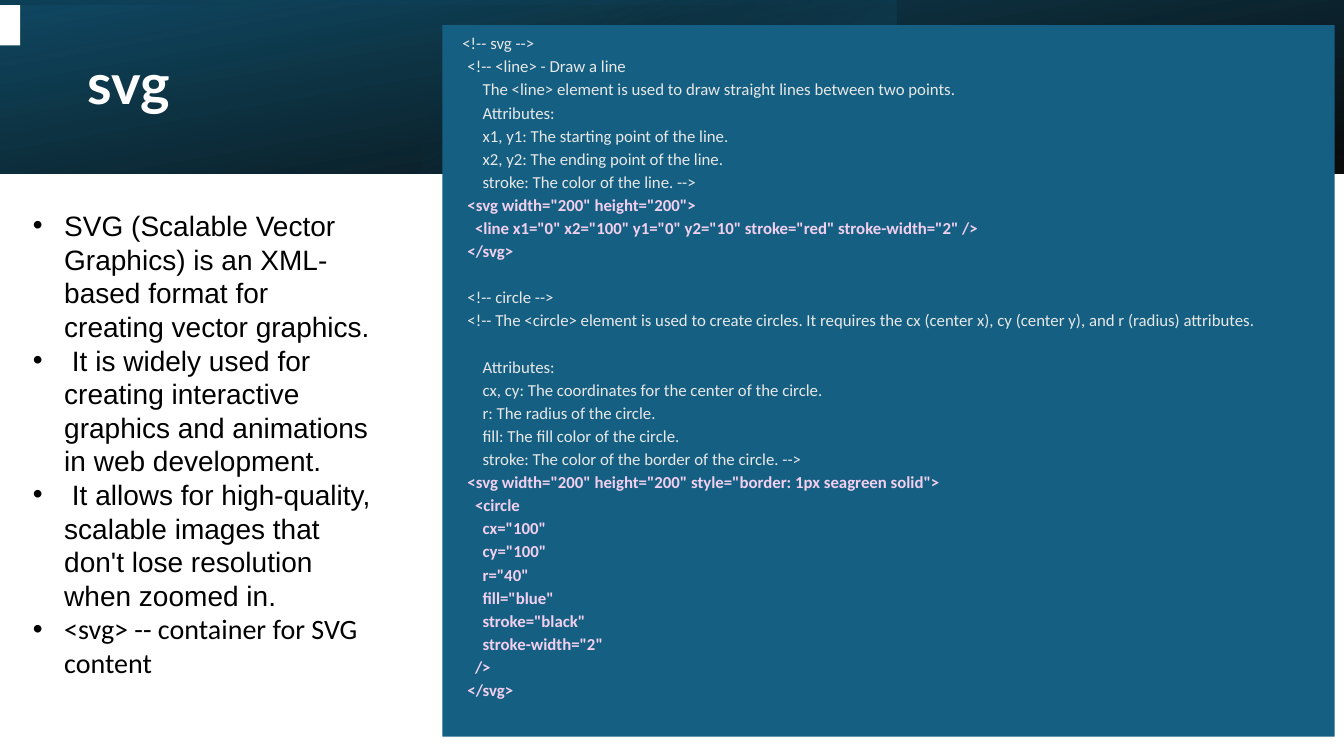
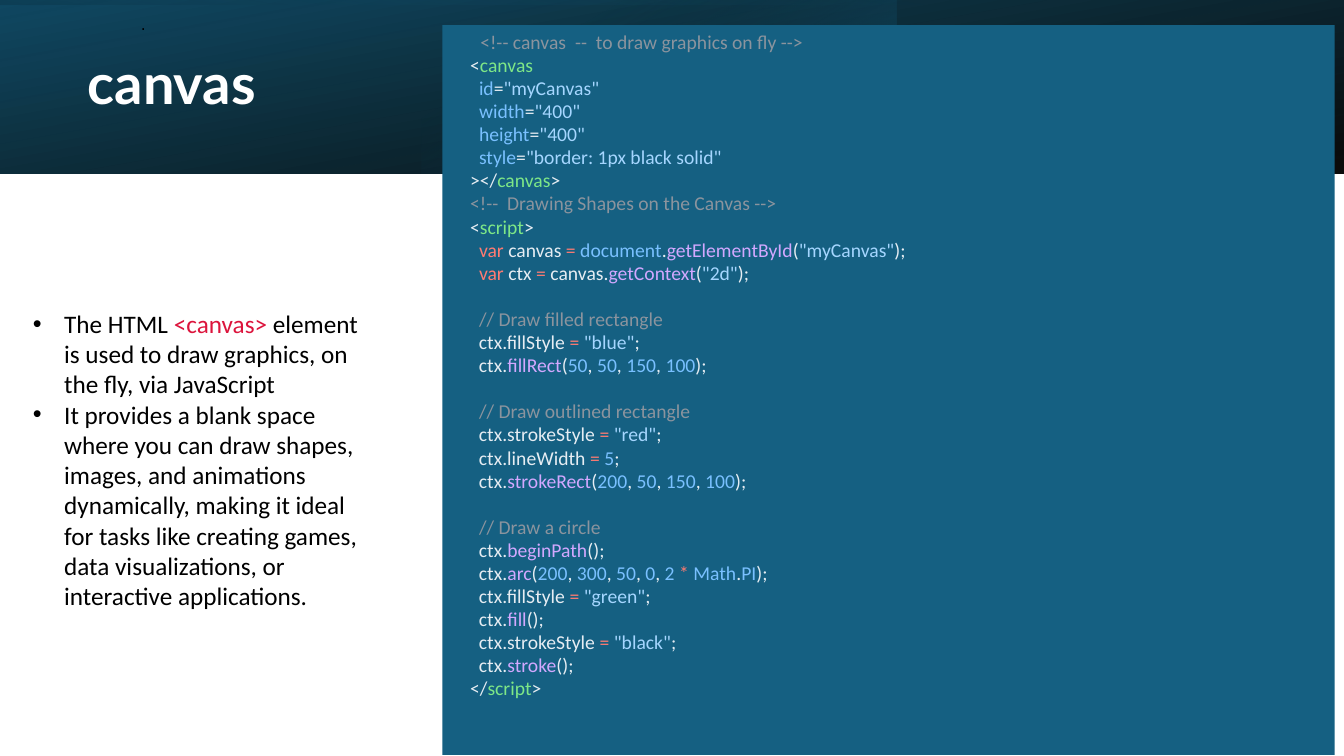
"""Two slides on drawing for the web: SVG and canvas."""
from dataclasses import dataclass

from lxml import etree
from pptx import Presentation
from pptx import util as u
from pptx.dml.color import RGBColor
from pptx.enum import shapes, text
from pptx.oxml.ns import qn

WIDTH, HEIGHT = u.Inches(13.333), u.Inches(7.5)
HEADER_HEIGHT = 22.93


@dataclass(frozen=True)
class Theme:
    """Colours, fonts and type sizes of the deck."""
    white: str = "FFFFFF"
    black: str = "000000"
    panel: str = "156082"
    navy: str = "104862"
    deep: str = "0B3041"
    crimson: str = "DC143C"
    code_grey: str = "E8E8E8"
    code_white: str = "E6EDF3"
    title_font: str = "Lato"
    body_font: str = "Calibri"
    title_size: int = 40
    code_leading: float = 16.5
    bullet_indent: float = 0.31


THEME = Theme()

SYNTAX = {
    "b": "F2CFEE",
    "c": "8B949E",
    "t": "7EE787",
    "a": "79C0FF",
    "s": "A5D6FF",
    "f": "D2A8FF",
    "k": "FF7B72",
    "r": THEME.crimson,
}

SVG_POINTS = [
    ("SVG (Scalable Vector Graphics) is an XML-based format for creating vector graphics.", "Arial"),
    (" It is widely used for creating interactive graphics and animations in web development.", "Arial"),
    (" It allows for high-quality, scalable images that don't lose resolution when zoomed in.", "Arial"),
    ("<svg> -- container for SVG content", THEME.body_font),
]

CANVAS_POINTS = [
    ("The HTML `r<canvas>` element is used to draw graphics, on the fly, via JavaScript",
     THEME.body_font),
    ("It provides a blank space where you can draw shapes, images, and animations dynamically, "
     "making it ideal for tasks like creating games, data visualizations, or interactive "
     "applications.", THEME.body_font),
]

SVG_CODE = ["""\
`m `<!-- svg -->
    <!-- <line> - Draw a line
        The <line> element is used to draw straight lines between two points.
        Attributes:
        x1, y1: The starting point of the line.
        x2, y2: The ending point of the line.
        stroke: The color of the line. -->
`b    <svg width="200" height="200">`
`b      <line x1="0" x2="100" y1="0" y2="10" stroke="red" stroke-width="2" />`
`b    </svg>`""", """\
    <!-- circle -->
    <!-- The <circle> element is used to create circles. It requires the cx (center x), cy (center y), and r (radius) attributes.""", """\
        Attributes:
        cx, cy: The coordinates for the center of the circle.
        r: The radius of the circle.
        fill: The fill color of the circle.
        stroke: The color of the border of the circle. -->
`b    <svg width="200" height="200" style="border: 1px seagreen solid">`
`b      <circle`
`b        cx="100"`
`b        cy="100"`
`b        r="40"`
`b        fill="blue"`
`b        stroke="black"`
`b        stroke-width="2"`
`b      />`
`b    </svg>`"""]

CANVAS_CODE = ["""\
`m  ` `c<!-- canvas  --  to draw graphics on fly -->`
    <`tcanvas`
      `aid`=`s"myCanvas"`
      `awidth`=`s"400"`
      `aheight`=`s"400"`
      `astyle`=`s"border: 1px black solid"`
    ></`tcanvas`>
    `c<!--  Drawing Shapes on the Canvas -->`
    <`tscript`>
      `kvar` canvas `k= ``adocument`.`fgetElementById`(`s"myCanvas"`);
      `kvar `ctx `k= `canvas.`fgetContext`(`s"2d"`);""", """\
      `c// Draw filled rectangle`
      ctx.fillStyle `k= ``s"blue"`;
      ctx.`ffillRect`(`a50`, `a50`, `a150`, `a100`);""", """\
      `c// Draw outlined rectangle`
      ctx.strokeStyle `k= ``s"red"`;
      ctx.lineWidth `k= ``a5`;
      ctx.`fstrokeRect`(`a200`, `a50`, `a150`, `a100`);""", """\
      `c// Draw a circle`
      ctx.`fbeginPath`();
      ctx.`farc`(`a200`, `a300`, `a50`, `a0`, `a2 ``k* ``aMath`.`aPI`);
      ctx.fillStyle `k= ``s"green"`;
      ctx.`ffill`();
      ctx.strokeStyle `k= ``s"black"`;
      ctx.`fstroke`();
    </`tscript`>"""]


def area(left, top, width, height):
    """Turn percentages of the slide into lengths."""
    return (int(WIDTH * left / 100), int(HEIGHT * top / 100),
            int(WIDTH * width / 100), int(HEIGHT * height / 100))


def style_run(run, font, size, colour, bold=False):
    """Set the type of one run."""
    run.font.name, run.font.size, run.font.bold = font, u.Pt(size), bold
    run.font.color.rgb = RGBColor.from_string(colour)


def add_marked_text(paragraph, marked, font, size, colour):
    """Add text whose backquoted parts start with a style letter."""
    for index, part in enumerate(marked.split("`")):
        if not part:
            continue
        key = part[0] if index % 2 else ""
        run = paragraph.add_run()
        run.text = part[1:] if key else part
        style_run(run, "Courier New" if key == "m" else font, size,
                  SYNTAX.get(key, colour), key == "b")


def add_block(slide, place, colour=None):
    """Add a plain rectangle, filled when a colour is given."""
    block = slide.shapes.add_shape(shapes.MSO_SHAPE.RECTANGLE, *area(*place))
    block.shadow.inherit = False
    block.line.fill.background()
    if colour:
        block.fill.solid()
        block.fill.fore_color.rgb = RGBColor.from_string(colour)
    return block


def add_gradient(slide, place, stops, angle, rotation=0, flip=False):
    """Add a rectangle with a two-stop gradient of (position, colour, opacity)."""
    band = add_block(slide, place)
    band.rotation = rotation
    band.fill.gradient()
    band.fill.gradient_angle = 360 - angle
    for stop, (position, colour, _) in zip(band.fill.gradient_stops, stops):
        stop.position = position / 100
        stop.color.rgb = RGBColor.from_string(colour)
    properties = band._element.spPr
    for colour_node, (_, _, opacity) in zip(properties.iter(qn("a:srgbClr")), stops):
        etree.SubElement(colour_node, qn("a:alpha")).set("val", str(opacity * 1000))
    if flip:
        properties.find(qn("a:xfrm")).set("flipH", "1")


def add_header(slide, heading):
    """Draw the layered header and set the title on top of it."""
    add_gradient(slide, (0, 0, 100, HEADER_HEIGHT),
                 [(0, THEME.black, 96), (100, THEME.navy, 100)], 100, 180, True)
    add_gradient(slide, (43.5, -77.47, 12.97, 177.78),
                 [(19, THEME.panel, 0), (99, THEME.black, 74)], 190, 270)
    add_gradient(slide, (31.35, 0, 35.32, HEADER_HEIGHT),
                 [(0, THEME.panel, 72), (74, THEME.deep, 0)], 240)
    title = slide.shapes.title
    slide.shapes._spTree.append(title._element)
    title.left, title.top, title.width, title.height = area(5.78, 4.27, 58.8, 14.27)
    frame = title.text_frame
    frame.text = heading
    frame.auto_size = text.MSO_AUTO_SIZE.NONE
    frame.vertical_anchor = text.MSO_ANCHOR.MIDDLE
    paragraph = frame.paragraphs[0]
    paragraph.alignment = text.PP_ALIGN.LEFT
    paragraph.line_spacing = 0.9
    style_run(paragraph.runs[0], THEME.title_font, THEME.title_size, THEME.white, True)


def start_text(block):
    """Prepare a block for text that starts at its top."""
    frame = block.text_frame
    frame.word_wrap = True
    frame.vertical_anchor = text.MSO_ANCHOR.TOP
    return frame


def next_paragraph(frame, is_first):
    """Return the first paragraph or a new one, aligned left."""
    paragraph = frame.paragraphs[0] if is_first else frame.add_paragraph()
    paragraph.alignment = text.PP_ALIGN.LEFT
    return paragraph


def add_points(slide, points, top, height, size):
    """Add the bulleted explanation in the left column."""
    frame = start_text(add_block(slide, (1.72, top, 27, height), THEME.white))
    indent = u.Inches(THEME.bullet_indent)
    for index, (point, font) in enumerate(points):
        paragraph = next_paragraph(frame, index == 0)
        properties = paragraph._p.get_or_add_pPr()
        properties.set("marL", str(indent))
        properties.set("indent", str(-indent))
        etree.SubElement(properties, qn("a:buFont")).set("typeface", "Arial")
        etree.SubElement(properties, qn("a:buChar")).set("char", "•")
        add_marked_text(paragraph, point, font, size, THEME.black)


def add_code(slide, sections, height, size, colour):
    """Add the code panel, with one line of space between sections."""
    frame = start_text(add_block(slide, (32.92, 3.33, 66.38, height), THEME.panel))
    for section_index, section in enumerate(sections):
        for line_index, line in enumerate(section.split("\n")):
            paragraph = next_paragraph(frame, section_index == line_index == 0)
            paragraph.line_spacing = u.Pt(THEME.code_leading)
            if section_index and line_index == 0:
                paragraph.space_before = u.Pt(THEME.code_leading)
            add_marked_text(paragraph, line, THEME.body_font, size, colour)


def add_dot(slide):
    """Add the small full stop above the title."""
    dot = slide.shapes.add_textbox(*area(9.75, 1.33, 2.18, 3.87))
    dot.text_frame.text = "."
    dot.text_frame.vertical_anchor = text.MSO_ANCHOR.MIDDLE
    style_run(dot.text_frame.paragraphs[0].runs[0], "DejaVu Sans", 11, THEME.black)


def main():
    """Build and save the deck."""
    deck = Presentation()
    deck.slide_width, deck.slide_height = WIDTH, HEIGHT
    title_only = deck.slide_layouts[5]

    svg = deck.slides.add_slide(title_only)
    add_header(svg, "svg")
    add_block(svg, (0, 0.67, 1.5, 5.33), THEME.white)
    add_points(svg, SVG_POINTS, 26.93, 72.27, 20)
    add_code(svg, SVG_CODE, 94.13, 12, THEME.code_grey)

    canvas = deck.slides.add_slide(title_only)
    add_header(canvas, "canvas")
    add_points(canvas, CANVAS_POINTS, 40.13, 45.73, 18)
    add_code(canvas, CANVAS_CODE, 96.53, 14, THEME.code_white)
    add_dot(canvas)

    deck.save("out.pptx")


if __name__ == "__main__":
    main()
